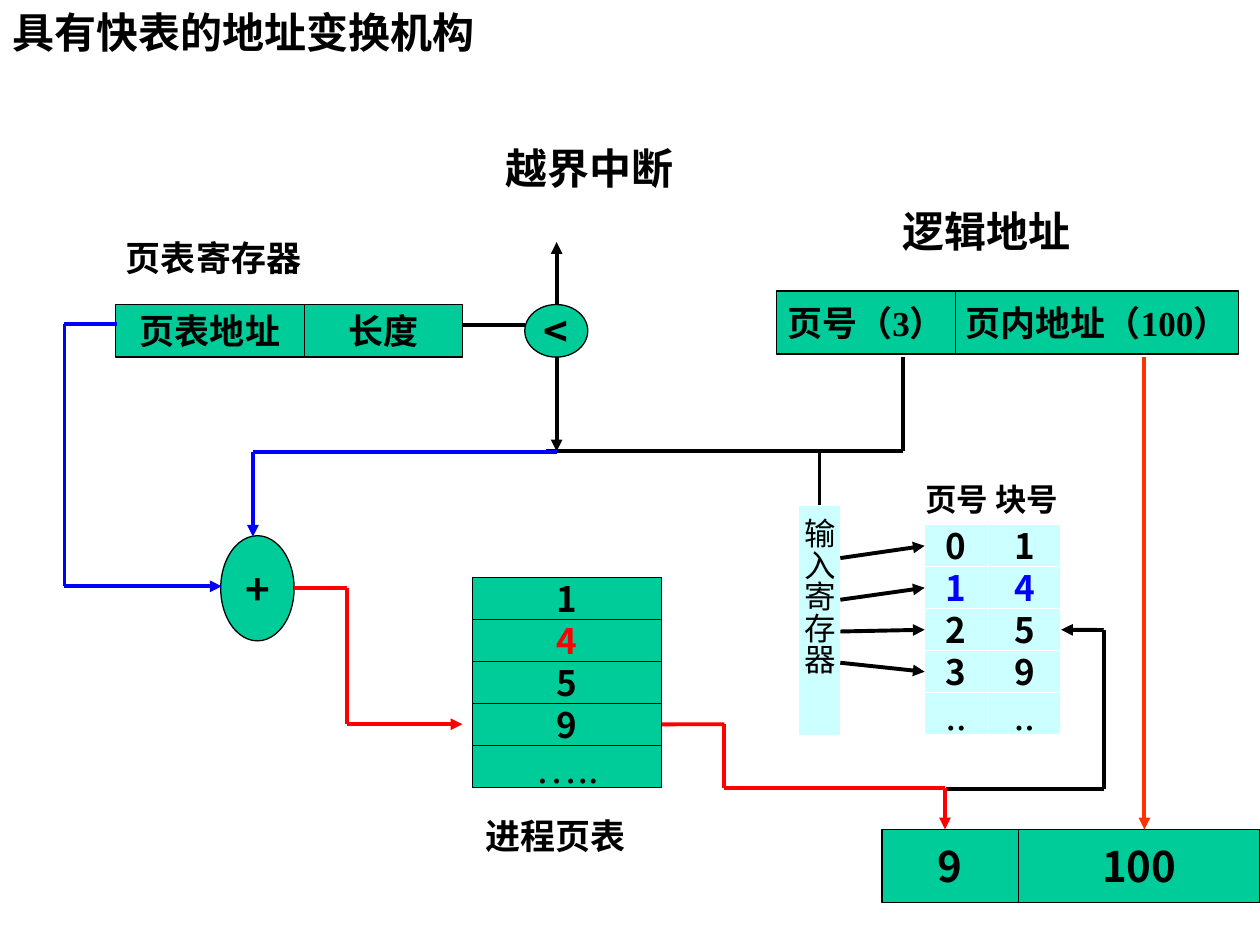
import itertools

import pptx
import pptx.dml.color
import pptx.enum.shapes
import pptx.enum.text
import pptx.oxml
import pptx.oxml.ns
import pptx.util

Cm, Pt = pptx.util.Cm, pptx.util.Pt
SHAPE = pptx.enum.shapes.MSO_SHAPE
ALIGN = pptx.enum.text.PP_ALIGN
ANCHOR = pptx.enum.text.MSO_ANCHOR
RGB = pptx.dml.color.RGBColor.from_string

THEME = {
    "black": "000000", "white": "FFFFFF", "blue": "0000FF", "red": "FF0000",
    "orange": "FF3300", "green": "00CC99", "pale": "CCFFFF",
    "serif": "Times New Roman", "sans": "Noto Sans CJK SC",
    "large": 24, "medium": 20, "small": 18, "outline": 0.75, "wire": 2.25,
}

deck = pptx.Presentation()
deck.slide_width, deck.slide_height = Cm(25.4), Cm(19.05)
page = deck.slides.add_slide(deck.slide_layouts[6])


def add_box(text, place, kind=None, fill="green", outline="black", size="medium",
            font="serif", color="black", bold=True, wrap=False):
    """Add a filled shape with centred text, or a plain label when kind is None."""
    lengths = [Cm(value) for value in place]
    if kind is None:
        box = page.shapes.add_textbox(*lengths)
    else:
        box = page.shapes.add_shape(kind, *lengths)
        box.shadow.inherit = False
        box.fill.solid()
        box.fill.fore_color.rgb = RGB(THEME[fill])
        box.line.color.rgb = RGB(THEME[outline])
        box.line.width = Pt(THEME["outline"])
    frame = box.text_frame
    frame.word_wrap = wrap
    frame.vertical_anchor = ANCHOR.MIDDLE if kind or wrap else ANCHOR.TOP
    para = frame.paragraphs[0]
    para.alignment = ALIGN.CENTER if kind else ALIGN.LEFT
    span = para.add_run()
    span.text = text
    style = {"name": THEME[font], "size": Pt(THEME[size]), "bold": bold}
    for name, value in style.items():
        setattr(span.font, name, value)
    span.font.color.rgb = RGB(THEME[color])
    east_asian = pptx.oxml.parse_xml(
        f'<a:ea {pptx.oxml.ns.nsdecls("a")} typeface="{THEME["sans"]}"/>')
    span.font._element.find(pptx.oxml.ns.qn("a:latin")).addnext(east_asian)
    return box


def add_route(points, color="black", arrow=False):
    """Join the points with straight lines; the last may end in an arrowhead."""
    lines = []
    for start, end in itertools.pairwise(points):
        line = page.shapes.add_connector(
            pptx.enum.shapes.MSO_CONNECTOR.STRAIGHT, *map(Cm, start + end))
        line.line.color.rgb = RGB(THEME[color])
        line.line.width = Pt(THEME["wire"])
        line._element.spPr.append(
            pptx.oxml.parse_xml(f'<a:effectLst {pptx.oxml.ns.nsdecls("a")}/>'))
        lines.append(line)
    if arrow:
        lines[-1].line._get_or_add_ln().append(pptx.oxml.parse_xml(
            f'<a:tailEnd {pptx.oxml.ns.nsdecls("a")} type="triangle"/>'))
    return lines


# Headings and labels
add_box("具有快表的地址变换机构", (0, 0, 25.4, 1.27), size="large", font="sans", wrap=True)
for text, place, size in [
    ("越界中断", (9.95, 2.75, 3.91, 1.27), "large"),
    ("逻辑地址", (17.95, 4.02, 3.91, 1.27), "large"),
    ("页表寄存器", (2.29, 4.65, 4.06, 1.1), "medium"),
    ("进程页表", (9.53, 16.3, 3.35, 1.1), "medium"),
    ("页号 块号", (18.4, 9.55, 3.23, 1.02), "small"),
]:
    add_box(text, place, size=size)

# Registers and addresses
for text, place in [
    ("页号（3）", (15.66, 5.87, 3.6, 1.27)),
    ("页内地址（100）", (19.26, 5.87, 5.71, 1.27)),
    ("页表地址", (2.33, 6.14, 3.81, 1.06)),
    ("长度", (6.14, 6.14, 3.18, 1.06)),
]:
    add_box(text, place, SHAPE.RECTANGLE)

# Operators and the physical address
for text, place, kind in [
    ("<", (10.58, 6.14, 1.27, 1.06), SHAPE.OVAL),
    ("+", (4.45, 10.8, 1.48, 2.12), SHAPE.OVAL),
    ("9", (17.78, 16.72, 2.75, 1.48), SHAPE.RECTANGLE),
    ("100", (20.53, 16.72, 4.87, 1.48), SHAPE.RECTANGLE),
]:
    add_box(text, place, kind, size="large", font="sans")

# Process page table and fast table, one column at a time
ROW_HEIGHT = 4.23 / 5
columns = []
for left, top, width, values, marked, color, fill, outline in [
    (9.53, 11.64, 3.81, ["1", "4", "5", "9", "….."], 1, "red", "green", "black"),
    (18.64, 10.58, 1.27, ["0", "1", "2", "3", ".."], 1, "blue", "pale", "white"),
    (19.91, 10.58, 1.48, ["1", "4", "5", "9", ".."], 1, "blue", "pale", "white"),
]:
    cells = []
    for row, value in enumerate(values):
        style = {"size": "medium", "font": "sans"} if value.isdigit() else {
            "size": "large", "bold": False}
        cells.append(add_box(
            value, (left, top + row * ROW_HEIGHT, width, ROW_HEIGHT), SHAPE.RECTANGLE,
            fill, outline, color=color if row == marked else "black", **style))
    columns.append(cells)
page_table, page_numbers, block_numbers = columns

input_register = add_box("输入寄存器", (16.1, 10.19, 0.84, 4.65), SHAPE.RECTANGLE,
                         "pale", "white", size="small", bold=False)
input_register.text_frame._txBody.bodyPr.set("vert", "eaVert")

# Bounds check
add_route([(22.93 - 4.72, 7.19), (18.21, 9.1), (11, 9.1)])
add_route([(11.22, 7.19), (11.22, 9.1)], arrow=True)
add_route([(11.22, 6.14), (11.22, 4.88)], arrow=True)
add_route([(9.32, 6.56), (10.58, 6.56)])

# Page table lookup
add_route([(2.36, 6.53), (1.3, 6.53), (1.3, 11.82), (4.47, 11.82)], "blue", arrow=True)
add_route([(11.22, 9.12), (5.1, 9.12), (5.1, 10.82)], "blue", arrow=True)
add_route([(5.92, 11.85), (6.99, 11.85), (6.99, 14.6), (9.32, 14.6)], "red", arrow=True)

# Fast table lookup
add_route([(16.52, 9.12), (16.52, 10.19)])[0].end_connect(input_register, 0)
for cell, height in zip(page_numbers, [11.25, 12.09, 12.73, 13.36]):
    add_route([(16.94, height), (18.64, height)], arrow=True)[0].end_connect(cell, 1)
update = add_route([(19.08, 15.9), (22.25, 15.9), (22.25, 12.7), (21.39, 12.7)], arrow=True)
update[-1].end_connect(block_numbers[2], 3)

# Physical address
result = add_route([(13.34, 14.6), (14.6, 14.6), (14.6, 15.88), (19.05, 15.88), (19.05, 16.72)],
                   "red", arrow=True)
result[0].begin_connect(page_table[3], 3)
add_route([(23.07, 7.19), (23.07, 16.72)], "orange", arrow=True)

deck.save("out.pptx")
